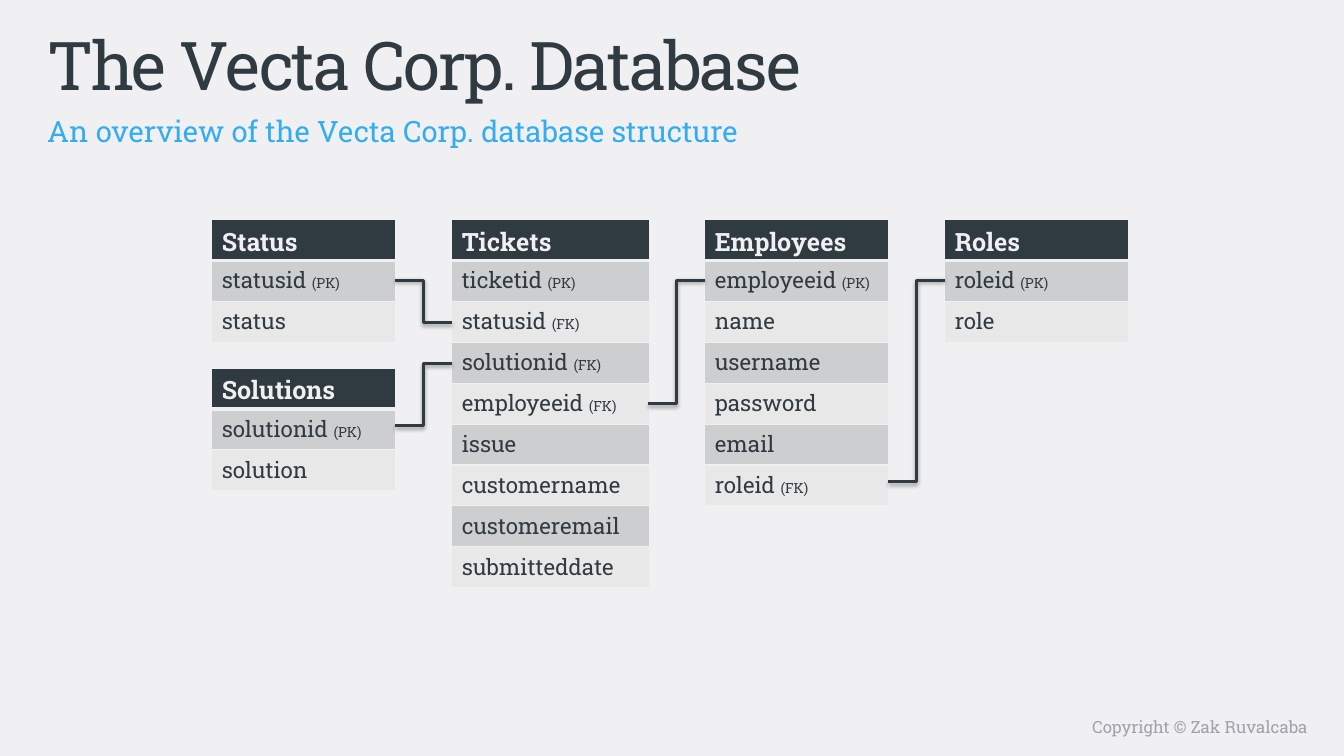
from lxml.etree import SubElement
from pptx import Presentation
from pptx.dml.color import RGBColor
from pptx.enum.shapes import MSO_CONNECTOR as CONNECTOR
from pptx.enum.text import PP_ALIGN as ALIGN
from pptx.oxml.ns import qn
from pptx.util import Inches, Pt

FONT = "Roboto Slab"
DARK, PALE, BLUE, GREY = "303B41", "F0F0F2", "34ADEF", "A1A1AD"
BANDS = ("CDCECF", "E8E8E9")
ROW_HEIGHT = Inches(3.65) // 9

ENTITIES = [
    ("Roles", (9.37, 2.18, 1.82), ["roleid (PK)", "role"]),
    ("Employees", (6.99, 2.18, 1.82),
     ["employeeid (PK)", "name", "username", "password", "email", "roleid (FK)"]),
    ("Tickets", (4.48, 2.18, 1.96),
     ["ticketid (PK)", "statusid (FK)", "solutionid (FK)", "employeeid (FK)",
      "issue", "customername", "customeremail", "submitteddate"]),
    ("Status", (2.1, 2.18, 1.82), ["statusid (PK)", "status"]),
    ("Solutions", (2.1, 3.65, 1.82), ["solutionid (PK)", "solution"]),
]
RELATIONS = [
    (3.92, 2.78, 4.48, 3.2),
    (3.92, 4.22, 4.48, 3.61),
    (6.43, 4.0, 6.99, 2.78),
    (8.81, 4.78, 9.37, 2.78),
]


def rgb(hex_color):
    """Turn a hex string into a colour."""
    return RGBColor.from_string(hex_color)


def write(paragraph, text, size, color=DARK, bold=False, tracking=None):
    """Append one formatted run to a paragraph."""
    run = paragraph.add_run()
    run.text = text
    run.font.name = FONT
    run.font.size = Pt(size)
    run.font.bold = bold
    run.font.color.rgb = rgb(color)
    if tracking is not None:
        run.font._element.set("spc", str(round(tracking * 100)))


def add_line(slide, box, text, top_inset=0.05, align=ALIGN.LEFT, spacing=None, **style):
    """Place a single line of text in a box."""
    frame = slide.shapes.add_textbox(*map(Inches, box)).text_frame
    frame.word_wrap = True
    frame.margin_top = Inches(top_inset)
    paragraph = frame.paragraphs[0]
    paragraph.alignment = align
    if spacing:
        paragraph.line_spacing = spacing
    write(paragraph, text, **style)


def style_cell(cell, fill, top=1, bottom=1):
    """Give a cell its fill and pale borders."""
    properties = cell._tc.get_or_add_tcPr()
    for side, width in (("L", 1), ("R", 1), ("T", top), ("B", bottom)):
        border = SubElement(properties, qn(f"a:ln{side}"), w=str(Pt(width)))
        SubElement(SubElement(border, qn("a:solidFill")), qn("a:srgbClr"), val=PALE)
    cell.fill.solid()
    cell.fill.fore_color.rgb = rgb(fill)


def add_entity(slide, name, box, fields):
    """Draw one database table with its header and fields."""
    left, top, width = map(Inches, box)
    count = len(fields) + 1
    table = slide.shapes.add_table(count, 1, left, top, width, ROW_HEIGHT * count).table
    for row in table.rows:
        row.height = ROW_HEIGHT
    header = table.cell(0, 0)
    style_cell(header, DARK, bottom=3)
    write(header.text_frame.paragraphs[0], name, 18, PALE, bold=True)
    for index, field in enumerate(fields):
        cell = table.cell(index + 1, 0)
        style_cell(cell, BANDS[index % 2], top=1 if index else 3)
        paragraph = cell.text_frame.paragraphs[0]
        column, space, key = field.partition(" ")
        write(paragraph, column + space, 16)
        if key:
            write(paragraph, key, 10)


def add_relation(slide, ends):
    """Join two fields with a softly shadowed elbow line."""
    relation = slide.shapes.add_connector(CONNECTOR.ELBOW, *map(Inches, ends))
    relation.line.color.rgb = rgb(DARK)
    relation.line.width = Pt(2)
    effects = SubElement(relation._element.spPr, qn("a:effectLst"))
    shadow = SubElement(effects, qn("a:outerShdw"), blurRad=str(Pt(3.1)),
                        dist=str(Pt(1.6)), dir="5400000", rotWithShape="0")
    black = SubElement(shadow, qn("a:srgbClr"), val="000000")
    SubElement(black, qn("a:alpha"), val="38000")


def add_heading(slide, left, top, width):
    """Place the title and the subtitle beneath it."""
    add_line(slide, (left, top, width, 0.79), "The Vecta Corp. Database",
             top_inset=0.02, size=48, tracking=-1.5)
    add_line(slide, (left, top + 0.78, width, 0.39),
             "An overview of the Vecta Corp. database structure",
             top_inset=0.03, spacing=1.3, size=21, color=BLUE)


def add_schema(slide):
    """Draw all database tables and their relations."""
    for entity in ENTITIES:
        add_entity(slide, *entity)
    for ends in RELATIONS:
        add_relation(slide, ends)


def main():
    """Build and save the slide."""
    deck = Presentation()
    deck.slide_width, deck.slide_height = Inches(13.33), Inches(7.5)
    slide = deck.slides.add_slide(deck.slide_layouts[6])
    slide.background.fill.solid()
    slide.background.fill.fore_color.rgb = rgb(PALE)
    add_line(slide, (6.67, 7.06, 6.4, 0.31), "Copyright © Zak Ruvalcaba",
             align=ALIGN.RIGHT, size=12, color=GREY)
    add_heading(slide, 0.37, 0.21, 11.76)
    add_schema(slide)
    deck.save("out.pptx")


main()
